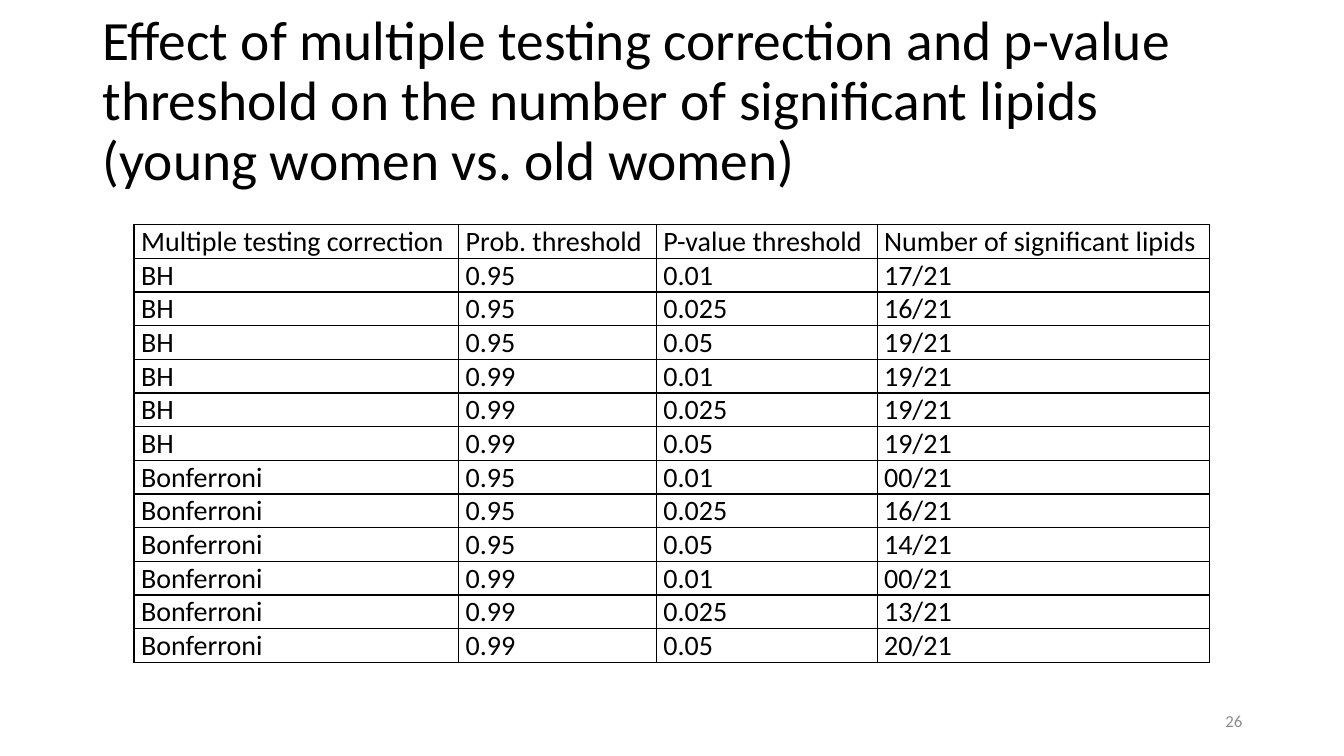
from itertools import product

from lxml import etree
from pptx import Presentation
from pptx.dml.color import RGBColor
from pptx.enum.text import MSO_ANCHOR, PP_ALIGN
from pptx.oxml.ns import qn
from pptx.util import Inches, Pt

MIDDLE, LEFT, RIGHT = MSO_ANCHOR.MIDDLE, PP_ALIGN.LEFT, PP_ALIGN.RIGHT

TITLE = ("Effect of multiple testing correction and p-value threshold "
         "on the number of significant lipids (young women vs. old women)")
PAGE = "26"
HEADER = ("Multiple testing correction", "Prob. threshold",
          "P-value threshold", "Number of significant lipids")
CORRECTIONS = ("BH", "Bonferroni")
PROBS = ("0.95", "0.99")
P_VALUES = ("0.01", "0.025", "0.05")
LIPIDS = ("17/21", "16/21", "19/21", "19/21", "19/21", "19/21",
          "00/21", "16/21", "14/21", "00/21", "13/21", "20/21")

COLORS = {"text": "000000", "border": "000000", "page": "8C8C8C"}
FONT = "Calibri"
COL_WIDTHS = (3.22, 1.96, 2.19, 3.3)
TABLE_LEFT, TABLE_TOP, TABLE_HEIGHT = 1.33, 2.23, 4.33
CELL_INSET = 0.07


def write(tf, text, size, color="text", align=LEFT, spacing=None):
    p = tf.paragraphs[0]
    p.alignment = align
    if spacing:
        p.line_spacing = spacing
    r = p.add_run()
    r.text = text
    r.font.name = FONT
    r.font.size = Pt(size)
    r.font.color.rgb = RGBColor.from_string(COLORS[color])


def add_text(s, box, text, size, bottom_inset=0.05, **fmt):
    tf = s.shapes.add_textbox(*map(Inches, box)).text_frame
    tf.word_wrap = True
    tf.vertical_anchor = MIDDLE
    tf.margin_bottom = Inches(bottom_inset)
    write(tf, text, size, **fmt)


def add_borders(cell, width=1):
    tc_pr = cell._tc.get_or_add_tcPr()
    for i, side in enumerate(("lnL", "lnR", "lnT", "lnB")):
        ln = etree.Element(qn(f"a:{side}"), w=str(Pt(width)))
        fill = etree.SubElement(ln, qn("a:solidFill"))
        etree.SubElement(fill, qn("a:srgbClr"), val=COLORS["border"])
        tc_pr.insert(i, ln)


def add_results_table(s, rows):
    table = s.shapes.add_table(
        len(rows), len(HEADER), Inches(TABLE_LEFT), Inches(TABLE_TOP),
        Inches(sum(COL_WIDTHS)), Inches(TABLE_HEIGHT)).table
    table.first_row = table.horz_banding = False
    for col, width in zip(table.columns, COL_WIDTHS):
        col.width = Inches(width)
    for i, values in enumerate(rows):
        for j, value in enumerate(values):
            cell = table.cell(i, j)
            cell.margin_left = cell.margin_right = Inches(CELL_INSET)
            cell.margin_top = cell.margin_bottom = 0
            cell.fill.background()
            add_borders(cell)
            write(cell.text_frame, value, 20)


def main():
    prs = Presentation()
    prs.slide_width, prs.slide_height = Inches(13.33), Inches(7.5)
    s = prs.slides.add_slide(prs.slide_layouts[6])
    # The deep bottom inset lifts the title clear of the table.
    add_text(s, (0.92, 0.59, 11.5, 1.45), TITLE, 39.6,
             bottom_inset=0.65, spacing=0.9)
    settings = product(CORRECTIONS, PROBS, P_VALUES)
    add_results_table(s, [HEADER] + [(*setting, count) for setting, count
                                     in zip(settings, LIPIDS)])
    add_text(s, (9.42, 6.95, 3, 0.4), PAGE, 12, color="page", align=RIGHT)
    prs.save("out.pptx")


if __name__ == "__main__":
    main()
